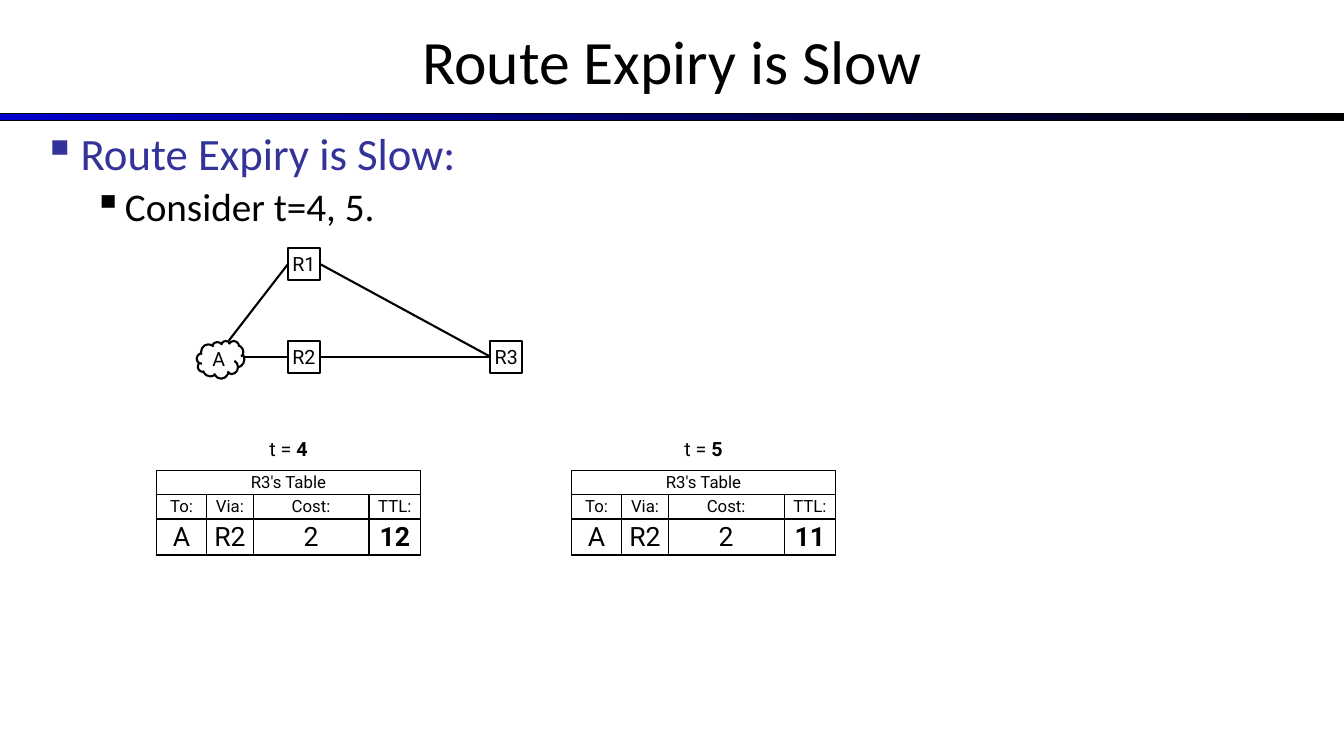
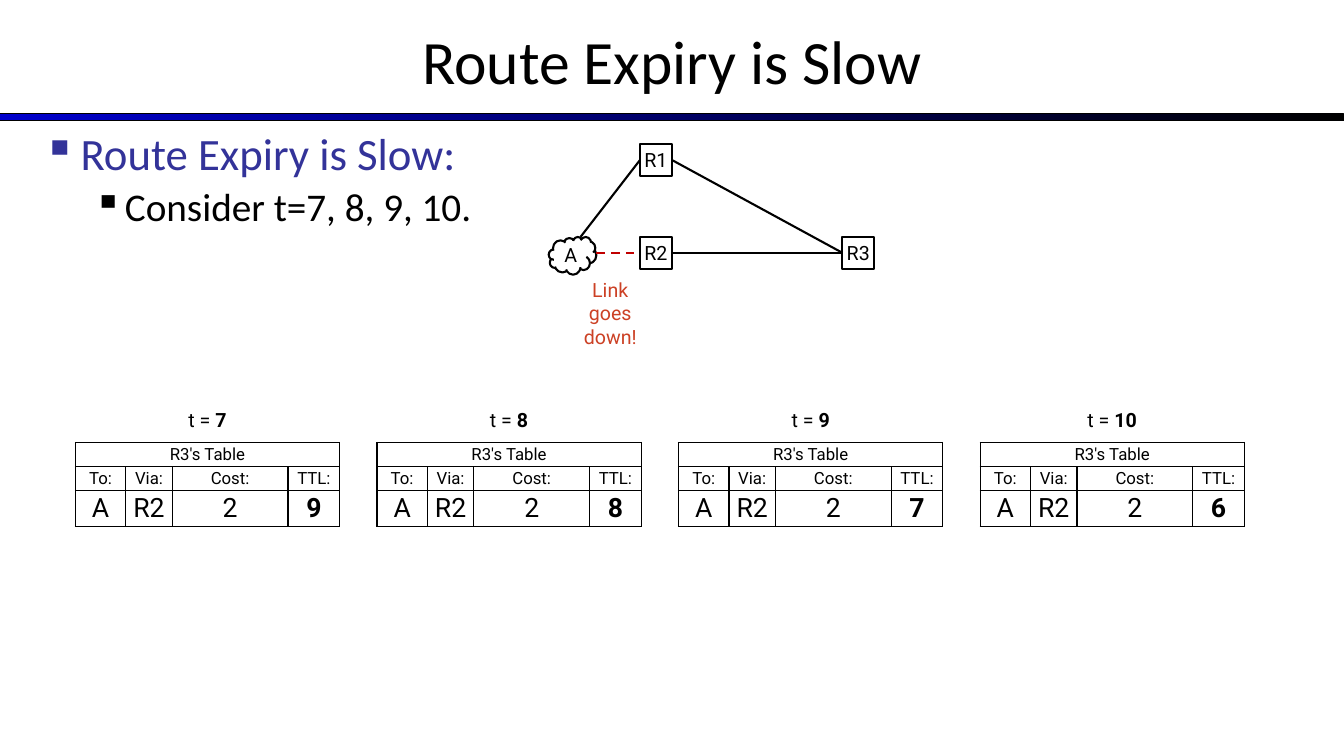
from lxml import etree
from pptx import Presentation
from pptx.dml.color import RGBColor
from pptx.enum.dml import MSO_LINE
from pptx.enum.shapes import MSO_CONNECTOR, MSO_SHAPE
from pptx.enum.text import MSO_ANCHOR, PP_ALIGN
from pptx.oxml.ns import qn
from pptx.util import Cm, Pt

RECT, CLOUD = MSO_SHAPE.RECTANGLE, MSO_SHAPE.CLOUD
STRAIGHT, DASH = MSO_CONNECTOR.STRAIGHT, MSO_LINE.DASH
TOP, MIDDLE = MSO_ANCHOR.TOP, MSO_ANCHOR.MIDDLE
LEFT, CENTER = PP_ALIGN.LEFT, PP_ALIGN.CENTER
LEFT_SIDE, RIGHT_SIDE = 1, 3

COLORS = {
    "ink": "000000",
    "paper": "FFFFFF",
    "band": "0000CC",
    "heading": "333399",
    "broken": "C00000",
    "warning": "CC4125",
}
RGB = {name: RGBColor.from_string(value) for name, value in COLORS.items()}
HEAD_FONT, LABEL_FONT = "Calibri", "Roboto"

PAGE_WIDTH, PAGE_HEIGHT = 33.87, 19.05
BOX_SIDE = 0.8
COLUMNS = [1.27, 1.17, 2.92, 1.3]
ROWS = [0.6, 0.6, 0.9]
TABLE_WIDTH = sum(COLUMNS)
TIME_WIDTH, TIME_HEIGHT, TIME_RISE = 1.96, 0.76, 0.94

# Each page: position of router R2, first table and table pitch, time -> TTL
PAGES = [
    {"point": "Consider t=4, 5.", "hub": (7.26, 8.59), "link_down": False,
     "tables": (3.94, 11.86), "pitch": 10.46, "ttl": {4: 12, 5: 11}},
    {"point": "Consider t=7, 8, 9, 10.", "hub": (16.13, 5.97), "link_down": True,
     "tables": (1.9, 11.15), "pitch": 7.6, "ttl": {7: 9, 8: 8, 9: 7, 10: 6}},
]


def set_frame(holder, across, down, anchor):
    """Set insets and anchor of a text frame or a table cell."""
    holder.margin_left = holder.margin_right = Cm(across)
    holder.margin_top = holder.margin_bottom = Cm(down)
    holder.vertical_anchor = anchor


def write(para, text, size, color="ink", font=LABEL_FONT, bold=False, align=CENTER):
    """Add one run to a paragraph."""
    para.alignment = align
    span = para.add_run()
    span.text = text
    span.font.size = Pt(size)
    span.font.name = font
    span.font.bold = bold
    span.font.color.rgb = RGB[color]


deck = Presentation()
deck.slide_width, deck.slide_height = Cm(PAGE_WIDTH), Cm(PAGE_HEIGHT)

for content in PAGES:
    page = deck.slides.add_slide(deck.slide_layouts[6])

    # Gradient band under the title
    band = page.shapes.add_shape(RECT, 0, Cm(2.87), Cm(PAGE_WIDTH), Cm(0.18))
    band.shadow.inherit = False
    band.fill.gradient()
    band.fill.gradient_angle = 0
    for stop, position, color in zip(band.fill.gradient_stops, (0, 1), ("band", "ink")):
        stop.position = position
        stop.color.rgb = RGB[color]
    band.line.color.rgb = RGB["ink"]
    band.line.width = Pt(0.75)

    # Title
    title = page.shapes.add_textbox(0, Cm(-0.08), Cm(PAGE_WIDTH), Cm(3.18)).text_frame
    title.word_wrap = True
    set_frame(title, 0.25, 0.13, MIDDLE)
    write(title.paragraphs[0], "Route Expiry is Slow", 44, font=HEAD_FONT)

    # Bulleted text
    body = page.shapes.add_textbox(Cm(0.84), Cm(3.18), Cm(31.95), Cm(3.66)).text_frame
    body.word_wrap = True
    set_frame(body, 0.25, 0.13, TOP)
    bullets = [("Route Expiry is Slow:", 32, "heading", 0.94, 0.94),
               (content["point"], 28, "ink", 2.06, 0.79)]
    for level, (text, size, color, margin, hang) in enumerate(bullets):
        para = body.add_paragraph() if level else body.paragraphs[0]
        para.level = level
        para.line_spacing = 0.9
        para.space_before = Pt(0.2 * size)
        write(para, text, size, color, HEAD_FONT, align=LEFT)
        settings = para._p.get_or_add_pPr()
        settings.set("marL", str(Cm(margin)))
        settings.set("indent", str(-Cm(hang)))
        bullet_color = etree.SubElement(settings, qn("a:buClr"))
        etree.SubElement(bullet_color, qn("a:srgbClr"), val=COLORS[color])
        etree.SubElement(settings, qn("a:buChar"), char="▪")

    # Network nodes, placed from router R2
    hub_x, hub_y = content["hub"]
    nodes = {}
    for name, kind, dx, dy, width, height in [
        ("R3", RECT, 5.1, 0, BOX_SIDE, BOX_SIDE),
        ("R2", RECT, 0, 0, BOX_SIDE, BOX_SIDE),
        ("R1", RECT, 0, -2.34, BOX_SIDE, BOX_SIDE),
        ("A", CLOUD, -2.3, 0, 1.2, 0.95),
    ]:
        box = page.shapes.add_shape(
            kind, Cm(hub_x + dx), Cm(hub_y + dy), Cm(width), Cm(height))
        box.shadow.inherit = False
        box.fill.solid()
        box.fill.fore_color.rgb = RGB["paper"]
        box.line.color.rgb = RGB["ink"]
        box.line.width = Pt(1.5)
        set_frame(box.text_frame, 0, 0, MIDDLE)
        write(box.text_frame.paragraphs[0], name, 14)
        nodes[name] = box

    # Links; those of the cloud start at a point on its outline
    down = content["link_down"]
    for start, end, broken in [("R2", "R3", False), ("R1", "R3", False),
                               ((-1.1, BOX_SIDE / 2), "R2", down),
                               ((-1.5, 0), "R1", False)]:
        dx, dy = (0, 0) if start in nodes else start
        link = page.shapes.add_connector(
            STRAIGHT, Cm(hub_x + dx), Cm(hub_y + dy), Cm(hub_x), Cm(hub_y))
        if start in nodes:
            link.begin_connect(nodes[start], RIGHT_SIDE)
        link.end_connect(nodes[end], LEFT_SIDE)
        link.line.color.rgb = RGB["broken" if broken else "ink"]
        link.line.width = Pt(1.5)
        if broken:
            link.line.dash_style = DASH
        etree.SubElement(link.element.spPr, qn("a:effectLst"))

    # Warning under the broken link
    if down:
        warning = page.shapes.add_textbox(
            Cm(hub_x - 1.5), Cm(hub_y + 0.95), Cm(1.5), Cm(1.96)).text_frame
        warning.word_wrap = True
        set_frame(warning, 0.08, 0.08, TOP)
        write(warning.paragraphs[0], "Link goes down!", 14, "warning")

    # Routing table at each time step
    first_left, top = content["tables"]
    for step, (time, ttl) in enumerate(content["ttl"].items()):
        left = first_left + step * content["pitch"]
        table = page.shapes.add_table(
            len(ROWS), len(COLUMNS), Cm(left), Cm(top),
            Cm(TABLE_WIDTH), Cm(sum(ROWS))).table
        table.first_row = table.horz_banding = False
        for column, width in zip(table.columns, COLUMNS):
            column.width = Cm(width)
        for row, height in zip(table.rows, ROWS):
            row.height = Cm(height)
        table.cell(0, 0).merge(table.cell(0, len(COLUMNS) - 1))
        values = [["R3's Table"],
                  ["To:", "Via:", "Cost:", "TTL:"],
                  ["A", "R2", "2", str(ttl)]]
        for cell in table.iter_cells():
            set_frame(cell, 0, 0.05, MIDDLE)
            borders = cell._tc.get_or_add_tcPr()
            for side in ("a:lnL", "a:lnR", "a:lnT", "a:lnB"):
                edge = etree.SubElement(borders, qn(side), w=str(Pt(1)))
                paint = etree.SubElement(edge, qn("a:solidFill"))
                etree.SubElement(paint, qn("a:srgbClr"), val=COLORS["ink"])
            cell.fill.background()
        for r, texts in enumerate(values):
            for c, text in enumerate(texts):
                write(table.cell(r, c).text_frame.paragraphs[0], text,
                      19 if r == 2 else 12, bold=(r, c) == (2, 3))

        # Time above the table
        label = page.shapes.add_shape(
            RECT, Cm(left + (TABLE_WIDTH - TIME_WIDTH) / 2), Cm(top - TIME_RISE),
            Cm(TIME_WIDTH), Cm(TIME_HEIGHT))
        label.shadow.inherit = False
        label.fill.solid()
        label.fill.fore_color.rgb = RGB["paper"]
        label.line.fill.background()
        set_frame(label.text_frame, 0.08, 0.08, TOP)
        para = label.text_frame.paragraphs[0]
        write(para, "t = ", 14)
        write(para, str(time), 14, bold=True)

deck.save("out.pptx")
